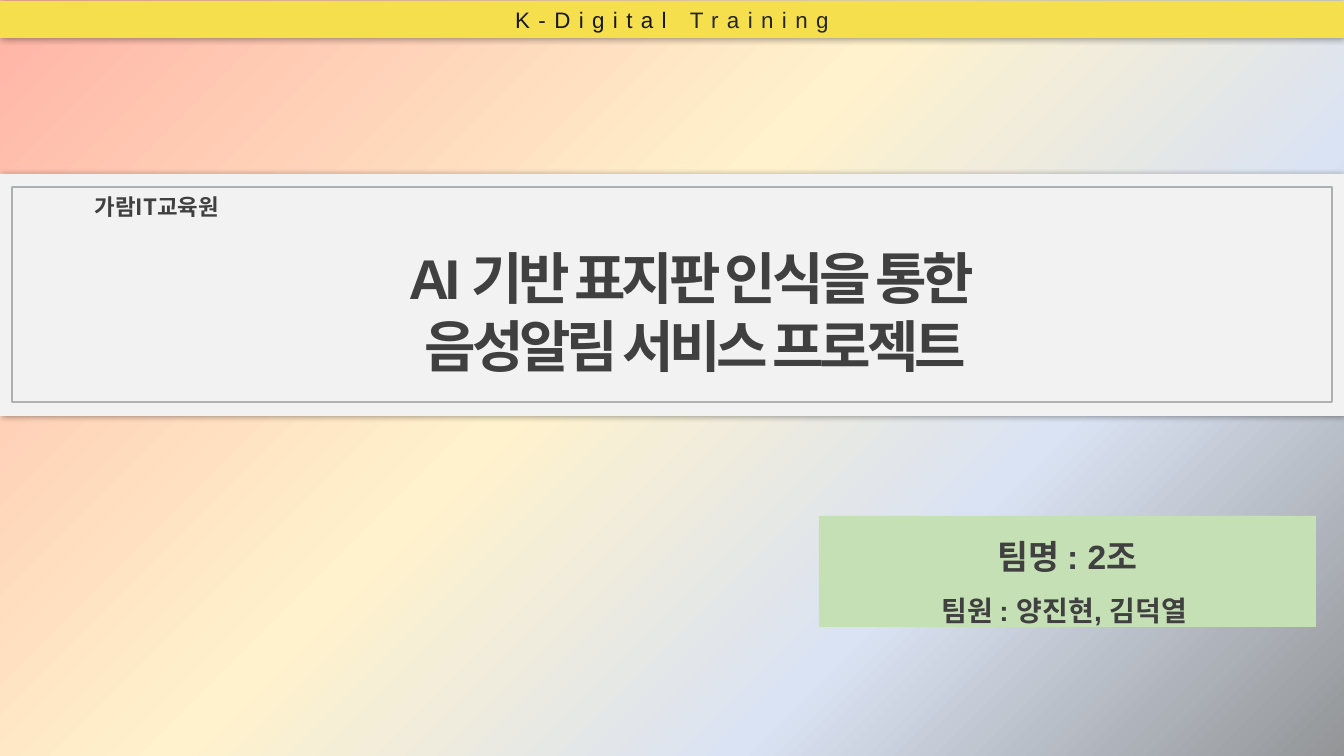
from lxml import etree
from pptx import Presentation
from pptx.dml.color import RGBColor
from pptx.enum.shapes import MSO_SHAPE as Shape
from pptx.enum.text import MSO_ANCHOR as Anchor, MSO_AUTO_SIZE as AutoSize, PP_ALIGN as Align
from pptx.oxml import parse_xml
from pptx.oxml.ns import nsdecls, qn
from pptx.util import Emu, Pt


def rgb(color):
    """Turn a hex string into a colour."""
    return RGBColor.from_string(color)


class Deck:
    """Holds the style and the current slide."""

    LATIN, HANGUL = "Arial", "Noto Sans CJK KR"
    INK, PANEL, GREY = "404040", "F2F2F2", "939597"
    YELLOW, GREEN = "F5DF4D", "C5E0B4"

    def __init__(self, width, height):
        """Start a presentation of the given size in px."""
        self.prs = Presentation()
        self.prs.slide_width, self.prs.slide_height = self.emu(width, height)
        self.s = None

    def emu(self, *lengths):
        """Turn px into EMU, at 100.8 px to the inch."""
        return [Emu(round(n * 914400 / 100.8)) for n in lengths]

    def slide(self):
        """Add a blank slide."""
        self.s = self.prs.slides.add_slide(self.prs.slide_layouts[6])

    def gradient(self, stops, angle):
        """Fill the slide background with a linear gradient."""
        self.s.background.fill.solid()
        bg_pr = self.s.element.find(".//" + qn("p:bgPr"))
        marks = "".join(
            f'<a:gs pos="{pos * 1000}"><a:srgbClr val="{color}"/></a:gs>' for pos, color in stops
        )
        bg_pr.replace(bg_pr[0], parse_xml(
            f'<a:gradFill {nsdecls("a")} rotWithShape="1"><a:gsLst>{marks}</a:gsLst>'
            f'<a:lin ang="{angle * 60000}" scaled="0"/></a:gradFill>'
        ))

    def rect(self, *box, fill=None, line=None, shadow=False):
        """Add a rectangle with an optional fill, outline and soft shadow."""
        sp = self.s.shapes.add_shape(Shape.RECTANGLE, *self.emu(*box))
        sp.shadow.inherit = False
        sp_pr = sp.element.spPr
        if fill:
            sp.fill.solid()
            sp.fill.fore_color.rgb = rgb(fill)
        else:
            sp.fill.background()
        if line:
            sp.line.color.rgb = rgb(line)
            sp.line.width = Pt(1.25)
            color = sp_pr.find(qn("a:ln")).find(".//" + qn("a:srgbClr"))
            etree.SubElement(color, qn("a:alpha"), val="70000")
        else:
            sp.line.fill.background()
        if shadow:
            sp_pr.find(qn("a:effectLst")).append(parse_xml(
                f'<a:outerShdw {nsdecls("a")} blurRad="{Pt(5)}" dist="0" dir="0" algn="t" '
                'rotWithShape="0"><a:srgbClr val="000000"><a:alpha val="40000"/></a:srgbClr>'
                '</a:outerShdw>'
            ))
        return sp

    def textbox(self, *box):
        """Add an empty text box."""
        return self.s.shapes.add_textbox(*self.emu(*box))

    def text(self, sp, lines, grow=True, flush=False, anchor=Anchor.TOP, spacing=None):
        """Put centred paragraphs, each a list of runs, into a shape."""
        tf = sp.text_frame
        tf.word_wrap = True
        tf.vertical_anchor = anchor
        if grow:
            tf.auto_size = AutoSize.SHAPE_TO_FIT_TEXT
        if flush:
            tf.margin_top = tf.margin_bottom = 0
        for i, runs in enumerate(lines):
            p = tf.add_paragraph() if i else tf.paragraphs[0]
            p.alignment = Align.CENTER
            if spacing:
                p.line_spacing = spacing
            for words, style in runs:
                self.run(p, words, **style)

    def run(self, p, words, size, color=INK, bold=True, font=LATIN, track=0):
        """Add one run, with letter spacing in points."""
        r = p.add_run()
        r.text = words
        r.font.size, r.font.bold, r.font.name = Pt(size), bold, font
        r.font.color.rgb = rgb(color)
        r_pr = p.runs[-1].font._element
        if track:
            r_pr.set("spc", str(track * 100))
        r_pr.find(qn("a:latin")).addnext(
            parse_xml(f'<a:ea {nsdecls("a")} typeface="{self.HANGUL}"/>')
        )


def main():
    """Build the title slide."""
    deck = Deck(1344, 756)
    deck.slide()
    deck.gradient([(0, "FFB4A5"), (44, "FFF2CC"), (71, "DAE3F3"), (100, deck.GREY)], 45)

    team = deck.rect(819, 516, 497, 111, fill=deck.GREEN)
    deck.text(team, [
        [("팀명 : 2조", {"size": 24})],
        [("팀원 : 양진현, 김덕열 ", {"size": 20})],
    ], flush=True, anchor=Anchor.MIDDLE, spacing=1.5)

    deck.rect(0, 174, 1344, 242, fill=deck.PANEL, shadow=True)
    title = deck.textbox(128, 244, 1135, 134)
    headline = {"size": 40, "track": -3}
    deck.text(title, [
        [("AI 기반 표지판 인식을 통한 ", headline)],
        [("음성알림 서비스 프로젝트", headline)],
    ], flush=True)
    deck.rect(12, 187, 1320, 215, line=deck.GREY)

    school = deck.textbox(12, 188, 290, 37)
    deck.text(school, [[("가람IT교육원", {"size": 16, "font": deck.HANGUL})]])

    banner = deck.rect(0, 1, 1344, 37, fill=deck.YELLOW, shadow=True)
    spaced = {"size": 16, "bold": False, "track": 6}
    deck.text(banner, [[
        ("K-Digital ", {**spaced, "color": "181717"}),
        ("Training", {**spaced, "color": "262626"}),
    ]], grow=False, anchor=Anchor.MIDDLE)

    deck.prs.save("out.pptx")


if __name__ == "__main__":
    main()
